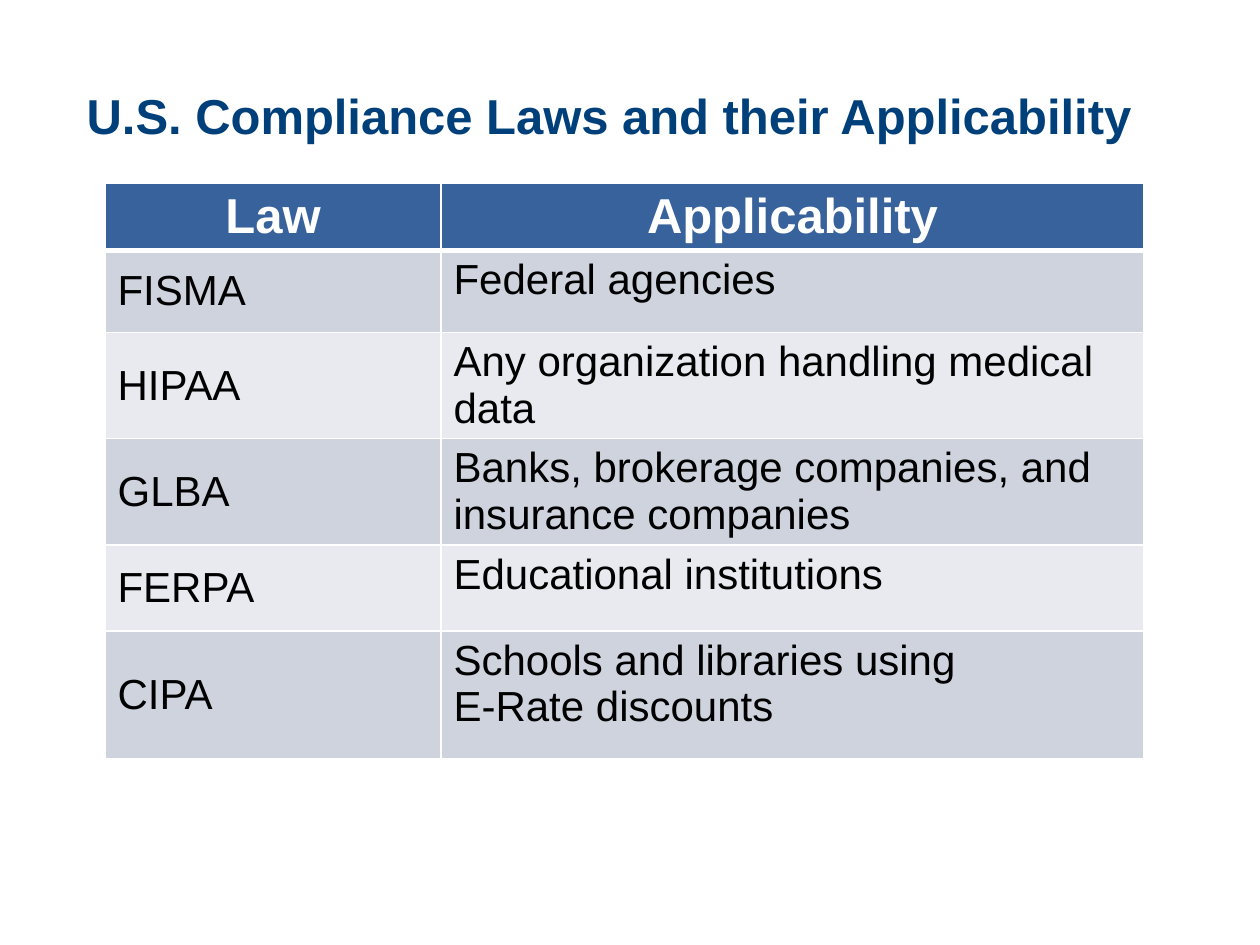
from typing import NamedTuple

from pptx import Presentation
from pptx.dml.color import RGBColor
from pptx.enum.text import MSO_ANCHOR, MSO_AUTO_SIZE, PP_ALIGN
from pptx.oxml.ns import qn
from pptx.util import Emu, Pt
from lxml.etree import SubElement

PX_PER_INCH = 126
FONT = "Arial"
COLORS = {
    "title": "00407A",
    "header": "38629C",
    "odd": "CED3DE",
    "even": "E8EAEF",
    "white": "FFFFFF",
    "text": "000000",
}


class Law(NamedTuple):
    name: str
    applicability: str
    height: int


HEADER = Law("Law", "Applicability", 67)
LAWS = [
    Law("FISMA", "Federal agencies", 82),
    Law("HIPAA", "Any organization handling medical data", 106),
    Law("GLBA", "Banks, brokerage companies, and insurance companies", 106),
    Law("FERPA", "Educational institutions", 86),
    Law("CIPA", "Schools and libraries using\vE-Rate discounts", 128),
]
COLUMN_WIDTHS = (336, 703)


def px(n: int) -> Emu:
    return Emu(round(n * 914400 / PX_PER_INCH))


def rgb(name: str) -> RGBColor:
    return RGBColor.from_string(COLORS[name])


def style_paragraphs(tf, size: int, color: str, bold: bool, align) -> None:
    for p in tf.paragraphs:
        p.alignment = align
        p.font.name = FONT
        p.font.size = Pt(size)
        p.font.bold = bold
        p.font.color.rgb = rgb(color)


def add_borders(cell, top: int, bottom: int) -> None:
    """Draw white cell borders, with widths in points; call before the fill."""
    tc_pr = cell._tc.get_or_add_tcPr()
    for tag, width in (("lnL", 1), ("lnR", 1), ("lnT", top), ("lnB", bottom)):
        ln = SubElement(tc_pr, qn(f"a:{tag}"), w=str(Pt(width)))
        fill = SubElement(ln, qn("a:solidFill"))
        SubElement(fill, qn("a:srgbClr"), val=COLORS["white"])


def add_title(s, text: str) -> None:
    title = s.shapes.title
    title.left, title.top, title.width, title.height = map(px, (74, 82, 1144, 66))
    tf = title.text_frame
    tf.text = text
    tf.auto_size = MSO_AUTO_SIZE.NONE
    tf.vertical_anchor = MSO_ANCHOR.MIDDLE
    style_paragraphs(tf, 28, "title", True, PP_ALIGN.LEFT)


def add_law_table(s, left: int, top: int) -> None:
    rows = [HEADER, *LAWS]
    width, height = sum(COLUMN_WIDTHS), sum(row.height for row in rows)
    table = s.shapes.add_table(
        len(rows), len(COLUMN_WIDTHS), px(left), px(top), px(width), px(height)
    ).table
    for column, column_width in zip(table.columns, COLUMN_WIDTHS):
        column.width = px(column_width)

    for i, law in enumerate(rows):
        table.rows[i].height = px(law.height)
        is_header = i == 0
        fill = "header" if is_header else "odd" if i % 2 else "even"
        for j, text in enumerate((law.name, law.applicability)):
            cell = table.cell(i, j)
            cell.text = text
            add_borders(cell, top=3 if i == 1 else 1, bottom=3 if is_header else 1)
            cell.fill.solid()
            cell.fill.fore_color.rgb = rgb(fill)
            if is_header:
                style_paragraphs(cell.text_frame, 28, "white", True, PP_ALIGN.CENTER)
            else:
                style_paragraphs(cell.text_frame, 24, "text", False, PP_ALIGN.LEFT)
                if j == 0:
                    cell.vertical_anchor = MSO_ANCHOR.MIDDLE


def main() -> None:
    prs = Presentation()
    prs.slide_width, prs.slide_height = px(1260), px(945)
    s = prs.slides.add_slide(prs.slide_layouts.get_by_name("Title Only"))
    add_title(s, "U.S. Compliance Laws and their Applicability")
    add_law_table(s, left=105, top=183)
    prs.save("out.pptx")


if __name__ == "__main__":
    main()
